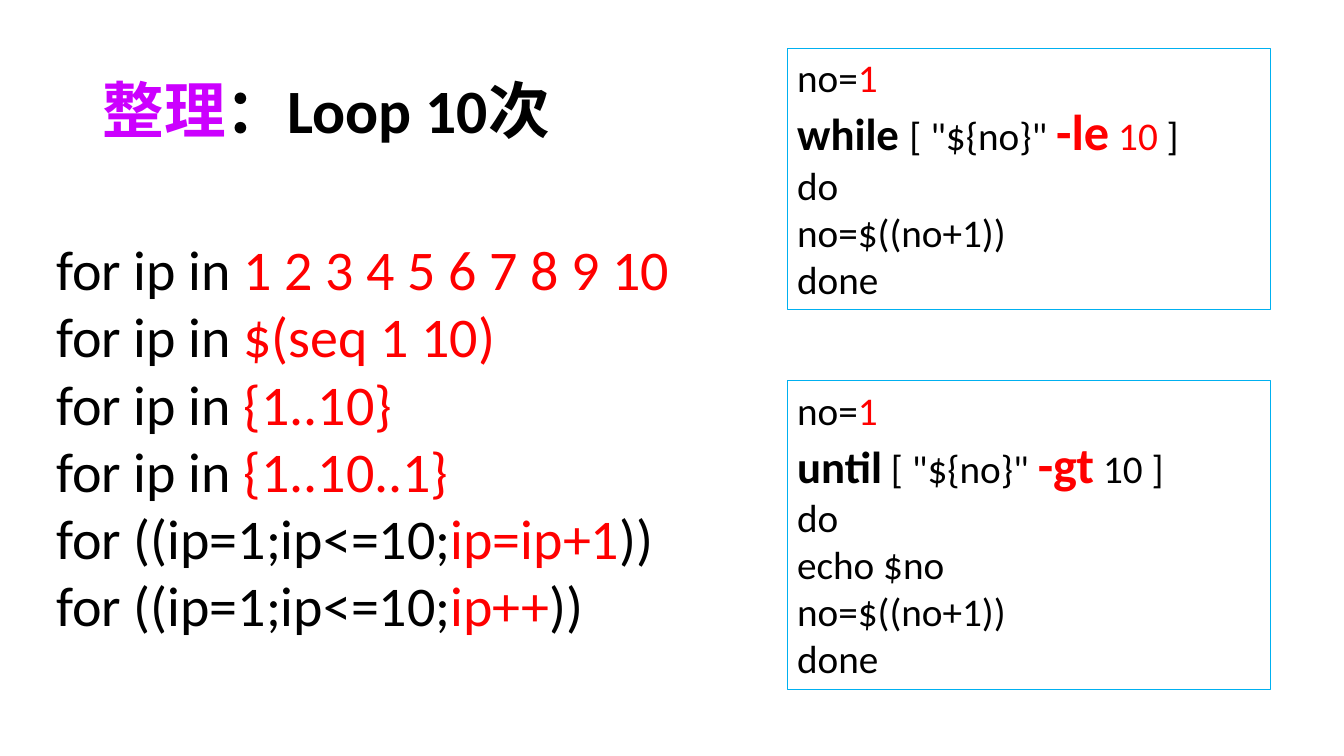
"""Build the slide that sums up ways to loop ten times in the shell."""
from dataclasses import dataclass

from pptx import Presentation
from pptx.dml.color import RGBColor
from pptx.enum.shapes import MSO_SHAPE
from pptx.enum.text import MSO_ANCHOR, MSO_AUTO_SIZE, PP_ALIGN
from pptx.util import Pt

COLORS = {"black": "000000", "red": "FF0000", "purple": "CC00FF", "blue": "00B0F0"}
FONT = "Calibri"


@dataclass(frozen=True)
class Run:
    text: str
    color: str = "black"
    size: float | None = None
    bold: bool = False


@dataclass(frozen=True)
class Block:
    left: float
    top: float
    width: float
    height: float
    size: float
    lines: list[list[Run]]
    framed: bool = False
    wrap: bool = True
    anchor: MSO_ANCHOR = MSO_ANCHOR.TOP
    spacing: float = 1.0


def rgb(name: str) -> RGBColor:
    return RGBColor.from_string(COLORS[name])


def for_line(start: str, red: str, end: str = "") -> list[Run]:
    return [Run(start), Run(red, "red")] + ([Run(end)] if end else [])


def draw_block(shapes, block: Block) -> None:
    place = [Pt(v) for v in (block.left, block.top, block.width, block.height)]
    if block.framed:
        sp = shapes.add_shape(MSO_SHAPE.RECTANGLE, *place)
        sp.shadow.inherit = False
        sp.fill.background()
        sp.line.color.rgb = rgb("blue")
        sp.line.width = Pt(0.75)
    else:
        sp = shapes.add_textbox(*place)
    tf = sp.text_frame
    tf.word_wrap = block.wrap
    tf.auto_size = MSO_AUTO_SIZE.NONE
    tf.vertical_anchor = block.anchor
    tf.text = "\n".join("" for _ in block.lines)
    for p, line in zip(tf.paragraphs, block.lines):
        p.alignment = PP_ALIGN.LEFT
        p.line_spacing = block.spacing
        for run in line:
            r = p.add_run()
            r.text = run.text
            r.font.name = FONT
            r.font.size = Pt(run.size or block.size)
            r.font.bold = run.bold
            r.font.color.rgb = rgb(run.color)


FIRST = [Run("no="), Run("1", "red")]
DO, ECHO, STEP, DONE = ([Run(t)] for t in ("do", "echo $no", "no=$((no+1))", "done"))
WHILE = [Run("while ", size=32, bold=True), Run('[ "${no}" '),
         Run("-le", "red", 36, True), Run(" 10 ", "red"), Run("]")]
UNTIL = [Run("until", size=32, bold=True), Run(' [ "${no}" '),
         Run("-gt", "red", 36, True), Run(" 10 ]")]

BLOCKS = [
    Block(66.24, 28.8, 828, 104.4, 44,
          [[Run("整理", "purple", bold=True), Run("：Loop 10次", bold=True)]],
          anchor=MSO_ANCHOR.MIDDLE, spacing=0.9),
    Block(33.12, 164.16, 456.48, 298.08, 40, [
        for_line("for ip in ", "1 2 3 4 5 6 7 8 9 10"),
        for_line("for ip in ", "$(seq 1 10)"),
        for_line("for ip in ", "{1..10}"),
        for_line("for ip in ", "{1..10..1}"),
        for_line("for ((ip=1;ip<=10;", "ip=ip+1", "))"),
        for_line("for ((ip=1;ip<=10;", "ip++", "))"),
    ], wrap=False),
    Block(562.3, 34.56, 344.9, 186.5, 28, [FIRST, WHILE, DO, STEP, DONE], framed=True),
    Block(562.3, 272.16, 344.9, 220.3, 28,
          [FIRST, UNTIL, DO, ECHO, STEP, DONE], framed=True),
]


def main() -> None:
    prs = Presentation()
    prs.slide_width, prs.slide_height = Pt(960), Pt(540)
    s = prs.slides.add_slide(prs.slide_layouts[6])
    for block in BLOCKS:
        draw_block(s.shapes, block)
    prs.save("out.pptx")


if __name__ == "__main__":
    main()
